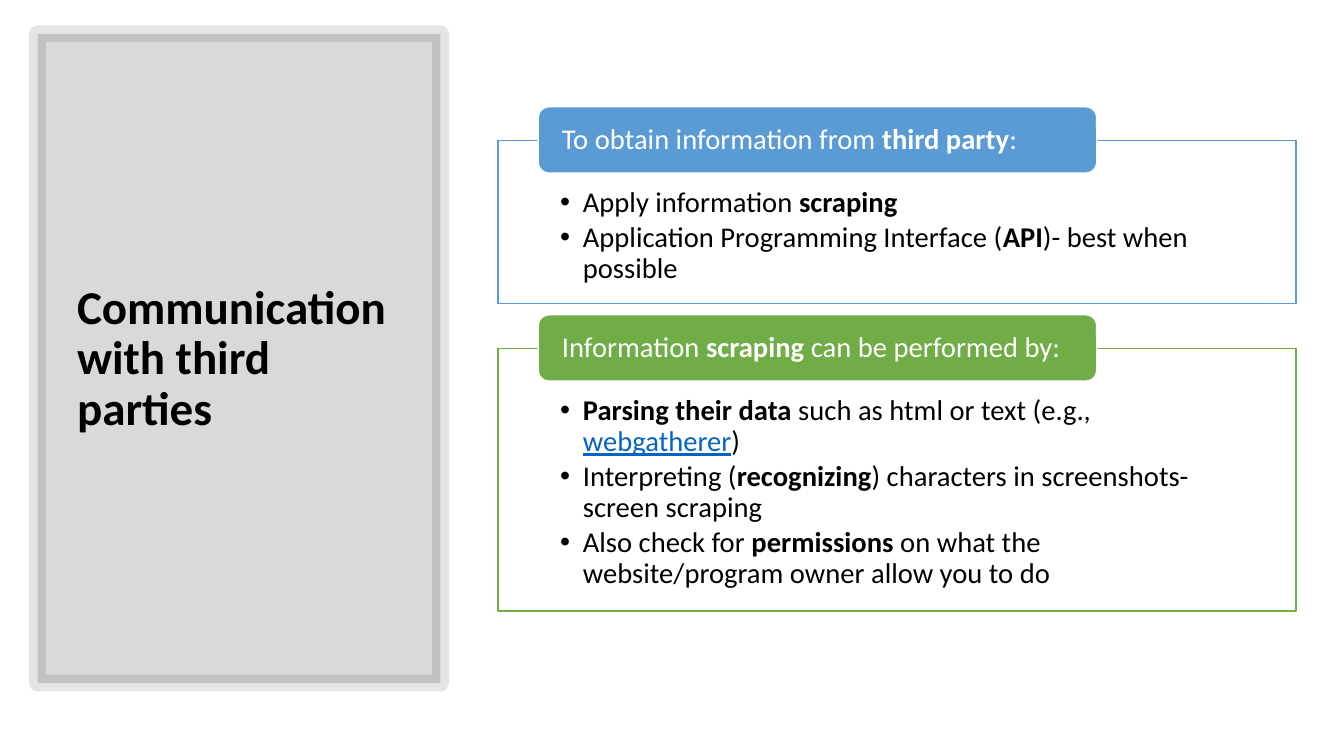
from lxml.etree import SubElement
from pptx import Presentation
from pptx.dml.color import RGBColor
from pptx.enum.shapes import MSO_SHAPE as Shape
from pptx.enum.text import MSO_ANCHOR as Anchor, PP_ALIGN as Align
from pptx.oxml.ns import qn
from pptx.util import Cm, Pt

COLORS = {"black": "000000", "white": "FFFFFF", "blue": "5B9BD5",
          "green": "70AD47", "link": "0563C1"}
FONT = "Calibri"
LEFT, WIDTH = 10.46, 16.76
TAB_RISE = 0.71

GROUPS = [
    ("blue", 2.95, 3.43, "To obtain information from *third party*:", [
        "Apply information *scraping*",
        "Application Programming Interface (*API*)- best when possible",
    ]),
    ("green", 7.32, 5.51, "Information *scraping* can be performed by:", [
        "*Parsing their data* such as html or text (e.g., _webgatherer_)",
        "Interpreting (*recognizing*) characters in screenshots- "
        "screen scraping",
        "Also check for *permissions* on what the website/program owner "
        "allow you to do",
    ]),
]


def rgb(name):
    return RGBColor.from_string(COLORS[name])


def fade(fill, percent):
    """Make a solid fill partly transparent."""
    tint = fill._xPr.find(qn("a:solidFill"))[0]
    SubElement(tint, qn("a:alpha"), val=str(percent * 1000))


def block(slide, kind, area, fill, line, weight):
    shape = slide.shapes.add_shape(kind, *map(Cm, area))
    shape.shadow.inherit = False
    shape.fill.solid()
    shape.fill.fore_color.rgb = rgb(fill)
    shape.line.color.rgb = rgb(line)
    shape.line.width = Pt(weight)
    return shape


def set_frame(shape, anchor, insets):
    frame = shape.text_frame
    frame.word_wrap = True
    frame.vertical_anchor = anchor
    (frame.margin_left, frame.margin_top,
     frame.margin_right, frame.margin_bottom) = map(Cm, insets)
    return frame


def add_bullet(para):
    props = para._p.get_or_add_pPr()
    props.set("marL", str(Cm(0.48)))
    props.set("indent", str(-Cm(0.48)))
    SubElement(props, qn("a:buFont"), typeface="Arial")
    SubElement(props, qn("a:buChar"), char="•")


def write(para, text, size=17, color="black", bold=False, bullet=False):
    """Fill a paragraph; *stars* mark bold and _bars_ mark a link."""
    if bullet:
        add_bullet(para)
        para.space_after = Pt(2.5)
    para.alignment = Align.LEFT
    para.line_spacing = 0.9
    for i, part in enumerate(text.split("*")):
        for j, bit in enumerate(part.split("_")):
            if not bit:
                continue
            run = para.add_run()
            run.text = bit
            font = run.font
            font.name, font.size = FONT, Pt(size)
            font.bold = bold or i % 2 == 1
            font.underline = j % 2 == 1
            font.color.rgb = rgb("link" if j % 2 else color)


def add_title(slide, text):
    panel = block(slide, Shape.RECTANGLE, (0.79, 0.71, 8.46, 13.64),
                  "black", "black", 10)
    fade(panel.fill, 15)
    fade(panel.line.fill, 10)
    box = slide.shapes.add_textbox(*map(Cm, (1.37, 1.47, 7.32, 12.17)))
    frame = set_frame(box, Anchor.MIDDLE, (0.25, 0.13, 0.25, 0.13))
    write(frame.paragraphs[0], text, size=28, bold=True)


def add_group(slide, color, top, height, head, items):
    """Draw a framed list with a header tab over its top edge."""
    box = block(slide, Shape.RECTANGLE, (LEFT, top, WIDTH, height),
                "white", color, 1)
    frame = set_frame(box, Anchor.TOP, (1.3, 1, 1.3, 0.33))
    for i, item in enumerate(items):
        para = frame.add_paragraph() if i else frame.paragraphs[0]
        write(para, item, bullet=True)
    tab = block(slide, Shape.ROUNDED_RECTANGLE,
                (LEFT + 0.84, top - TAB_RISE, 0.7 * WIDTH, 1.4),
                color, "white", 1)
    frame = set_frame(tab, Anchor.MIDDLE, (0.43, 0, 0.43, 0))
    write(frame.paragraphs[0], head, color="white")


def main():
    deck = Presentation()
    deck.slide_width, deck.slide_height = Cm(28.22), Cm(15.88)
    slide = deck.slides.add_slide(deck.slide_layouts[6])
    add_title(slide, "Communication with third parties")
    for group in GROUPS:
        add_group(slide, *group)
    deck.save("out.pptx")


if __name__ == "__main__":
    main()
